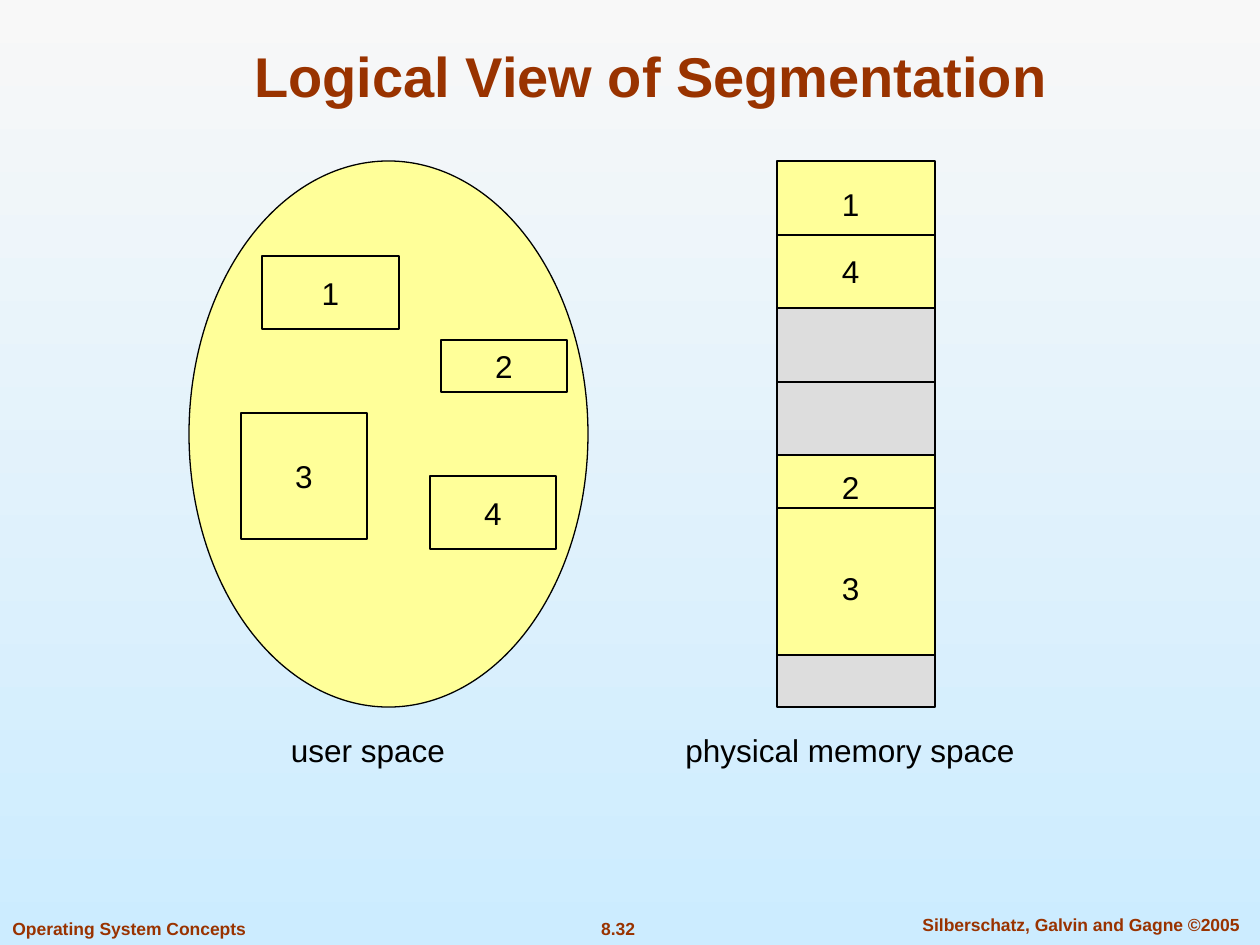
from dataclasses import dataclass

from lxml import etree
from pptx import Presentation
from pptx.dml.color import RGBColor
from pptx.enum.shapes import MSO_CONNECTOR, MSO_SHAPE
from pptx.enum.text import MSO_ANCHOR, PP_ALIGN
from pptx.oxml.ns import qn
from pptx.util import Pt

RECTANGLE, OVAL = MSO_SHAPE.RECTANGLE, MSO_SHAPE.OVAL
STRAIGHT = MSO_CONNECTOR.STRAIGHT
LEFT, CENTER = PP_ALIGN.LEFT, PP_ALIGN.CENTER
TOP, MIDDLE, BOTTOM = MSO_ANCHOR.TOP, MSO_ANCHOR.MIDDLE, MSO_ANCHOR.BOTTOM
PIXEL = 914400 / 126


@dataclass(frozen=True)
class Theme:
    font: str = "Arial"
    accent: RGBColor = RGBColor(0x99, 0x33, 0x00)
    ink: RGBColor = RGBColor(0x00, 0x00, 0x00)
    segment: RGBColor = RGBColor(0xFF, 0xFF, 0x99)
    free: RGBColor = RGBColor(0xDD, 0xDD, 0xDD)
    sky_top: RGBColor = RGBColor(0xF8, 0xF8, 0xF8)
    sky_bottom: RGBColor = RGBColor(0xCC, 0xEC, 0xFF)
    title_size: Pt = Pt(32)
    label_size: Pt = Pt(18)
    footer_size: Pt = Pt(10)
    line_width: Pt = Pt(0.75)


theme = Theme()


def px(*lengths):
    return [round(length * PIXEL) for length in lengths]


def write(box, text, size, color=theme.ink, bold=False, align=CENTER, anchor=MIDDLE, wrap=False):
    frame = box.text_frame
    frame.word_wrap = wrap
    frame.vertical_anchor = anchor
    para = frame.paragraphs[0]
    para.text = text
    para.alignment = align
    para.font.name = theme.font
    para.font.size = size
    para.font.bold = bold
    para.font.color.rgb = color


deck = Presentation()
deck.slide_width, deck.slide_height = px(1260, 945)
page = deck.slides.add_slide(deck.slide_layouts[5])

# Background fading downwards
sky = page.background.fill
sky.gradient()
sky.gradient_angle = 270
for stop, position, color in zip(sky.gradient_stops, (0, 1), (theme.sky_top, theme.sky_bottom)):
    stop.position = position
    stop.color.rgb = color

# Title
title = page.shapes.title
title.left, title.top, title.width, title.height = px(94, 31, 1114, 84)
write(title, "Logical View of Segmentation", theme.title_size, theme.accent, True,
      anchor=BOTTOM, wrap=True)

# Footer
for text, left, top, width, align in (
    ("Operating System Concepts", 0, 912, 300, LEFT),
    ("8.32", 578, 912, 80, CENTER),
    ("Silberschatz, Galvin and Gagne ©2005", 894, 908, 374, CENTER),
):
    box = page.shapes.add_textbox(*px(left, top, width, 34))
    write(box, text, theme.footer_size, theme.accent, True, align, TOP, wrap=True)

# User space and its segments, then the blocks of physical memory
memory = page.shapes.add_group_shape()
memory_left, memory_width = 777, 158
for shapes, kind, text, color, bounds in (
    (page.shapes, OVAL, "", theme.segment, (189, 161, 399, 546)),
    (page.shapes, RECTANGLE, "1", theme.segment, (262, 256, 137, 73)),
    (page.shapes, RECTANGLE, "3", theme.segment, (241, 413, 126, 126)),
    (page.shapes, RECTANGLE, "2", theme.segment, (441, 340, 126, 52)),
    (page.shapes, RECTANGLE, "4", theme.segment, (430, 476, 126, 73)),
    (memory.shapes, RECTANGLE, "", theme.segment, (memory_left, 161, memory_width, 147)),
    (memory.shapes, RECTANGLE, "", theme.free, (memory_left, 308, memory_width, 147)),
    (memory.shapes, RECTANGLE, "", theme.segment, (memory_left, 455, memory_width, 200)),
    (memory.shapes, RECTANGLE, "", theme.free, (memory_left, 655, memory_width, 52)),
):
    shape = shapes.add_shape(kind, *px(*bounds))
    shape.shadow.inherit = False
    shape.fill.solid()
    shape.fill.fore_color.rgb = color
    shape.line.color.rgb = theme.ink
    shape.line.width = theme.line_width
    if text:
        write(shape, text, theme.label_size)

# Dividers inside the memory blocks
for y in (235, 382, 508):
    divider = memory.shapes.add_connector(
        STRAIGHT, *px(memory_left, y, memory_left + memory_width, y))
    divider.line.color.rgb = theme.ink
    divider.line.width = theme.line_width
    etree.SubElement(divider.element.spPr, qn("a:effectLst"))

# Memory numbers and captions
for shapes, text, left, top, width in (
    (memory.shapes, "1", 829, 179, 43),
    (memory.shapes, "4", 829, 246, 43),
    (memory.shapes, "2", 829, 462, 43),
    (memory.shapes, "3", 829, 563, 43),
    (page.shapes, "user space", 274, 725, 188),
    (page.shapes, "physical memory space", 673, 725, 354),
):
    box = shapes.add_textbox(*px(left, top, width, 50))
    write(box, text, theme.label_size)

deck.save("out.pptx")
